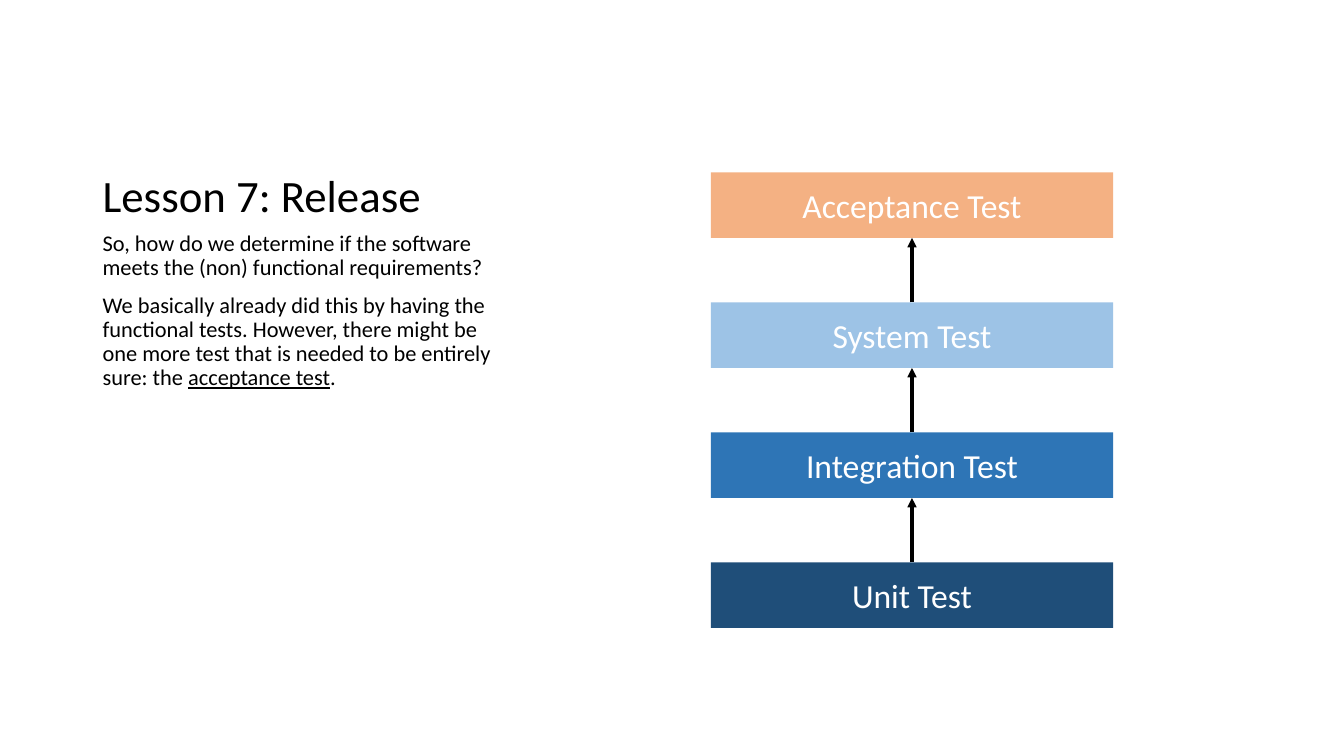
from dataclasses import dataclass

import lxml.etree
import pptx
import pptx.dml.color
import pptx.enum.shapes
import pptx.enum.text
import pptx.oxml.ns
import pptx.util


@dataclass(frozen=True)
class Theme:
    font: str = "Calibri"
    black: str = "000000"
    white: str = "FFFFFF"
    unit: str = "1F4E79"
    integration: str = "2E75B6"
    system: str = "9DC3E6"
    acceptance: str = "F4B183"
    title_size: int = 32
    label_size: int = 24
    body_size: int = 16
    arrow_width: float = 2.25
    line_spacing: float = 0.9
    paragraph_gap: int = 10


class SlideBuilder:
    """Draws styled elements on one slide, with lengths in px at 100 px per inch."""

    scale = 9144

    def __init__(self, presentation, theme):
        self.theme = theme
        self.slide = presentation.slides.add_slide(presentation.slide_layouts[6])

    def lengths(self, *pixels):
        return [pptx.util.Emu(value * self.scale) for value in pixels]

    def color(self, value):
        return pptx.dml.color.RGBColor.from_string(value)

    def run(self, paragraph, text, size, color, underline=None):
        run = paragraph.add_run()
        run.text = text
        run.font.name = self.theme.font
        run.font.size = pptx.util.Pt(size)
        run.font.color.rgb = self.color(color)
        run.font.underline = underline

    def text(self, box, paragraphs, size, anchor):
        shape = self.slide.shapes.add_textbox(*self.lengths(*box))
        frame = shape.text_frame
        frame.word_wrap = True
        frame.vertical_anchor = anchor
        for index, runs in enumerate(paragraphs):
            paragraph = frame.add_paragraph() if index else frame.paragraphs[0]
            paragraph.line_spacing = self.theme.line_spacing
            if index:
                paragraph.space_before = pptx.util.Pt(self.theme.paragraph_gap)
            for text, underline in runs:
                self.run(paragraph, text, size, self.theme.black, underline)

    def block(self, box, label, fill):
        shape = self.slide.shapes.add_shape(
            pptx.enum.shapes.MSO_SHAPE.RECTANGLE, *self.lengths(*box))
        shape.shadow.inherit = False
        shape.fill.solid()
        shape.fill.fore_color.rgb = self.color(fill)
        shape.line.fill.background()
        frame = shape.text_frame
        frame.word_wrap = True
        frame.vertical_anchor = pptx.enum.text.MSO_ANCHOR.MIDDLE
        paragraph = frame.paragraphs[0]
        paragraph.alignment = pptx.enum.text.PP_ALIGN.CENTER
        self.run(paragraph, label, self.theme.label_size, self.theme.white)
        return shape

    def arrow_up(self, lower, upper):
        connector = self.slide.shapes.add_connector(
            pptx.enum.shapes.MSO_CONNECTOR.STRAIGHT, 0, 0, 0, 0)
        connector.begin_connect(lower, 0)
        connector.end_connect(upper, 2)
        connector.line.color.rgb = self.color(self.theme.black)
        connector.line.width = pptx.util.Pt(self.theme.arrow_width)
        line = connector.line._get_or_add_ln()
        lxml.etree.SubElement(line, pptx.oxml.ns.qn("a:tailEnd"), type="triangle")
        properties = connector._element.spPr
        lxml.etree.SubElement(properties, pptx.oxml.ns.qn("a:effectLst"))


def main():
    theme = Theme()
    presentation = pptx.Presentation()
    presentation.slide_width = pptx.util.Inches(13.33)
    presentation.slide_height = pptx.util.Inches(7.5)
    builder = SlideBuilder(presentation, theme)

    builder.text((92, 50, 430, 175), [[("Lesson 7: Release", None)]],
                 theme.title_size, pptx.enum.text.MSO_ANCHOR.BOTTOM)
    question = [("So, how do we determine if the software meets the "
                 "(non) functional requirements?", None)]
    answer = [("We basically already did this by having the functional tests. "
               "However, there might be one more test that is needed to be "
               "entirely sure: the ", None),
              ("acceptance test", True),
              (".", None)]
    builder.text((92, 225, 430, 417), [question, answer],
                 theme.body_size, pptx.enum.text.MSO_ANCHOR.TOP)

    levels = [("Unit Test", theme.unit),
              ("Integration Test", theme.integration),
              ("System Test", theme.system),
              ("Acceptance Test", theme.acceptance)]
    bottom_level, step = 558, 129
    blocks = [builder.block((705, bottom_level - index * step, 399, 65), label, fill)
              for index, (label, fill) in enumerate(levels)]
    for lower, upper in zip(blocks, blocks[1:]):
        builder.arrow_up(lower, upper)

    presentation.save("out.pptx")


if __name__ == "__main__":
    main()
